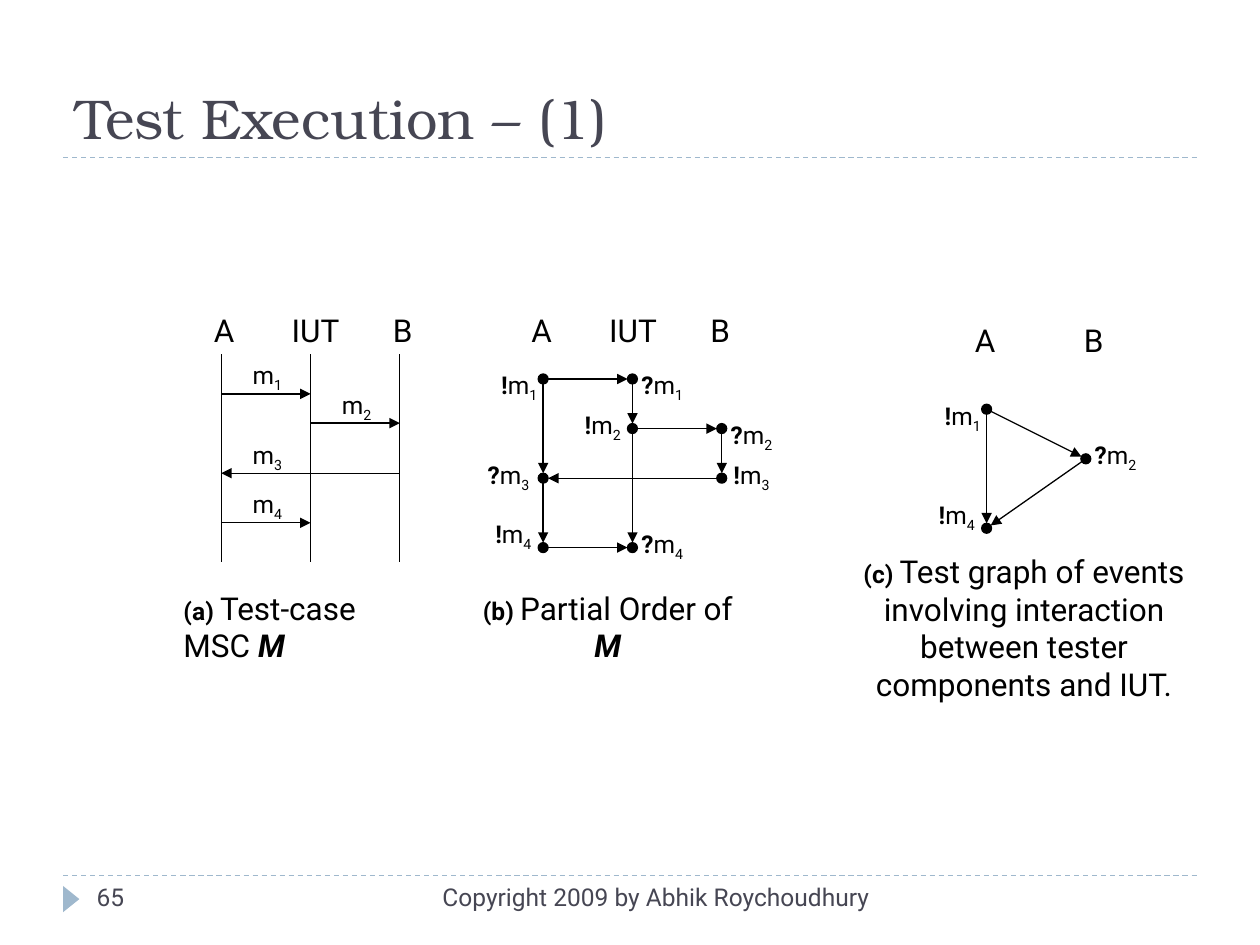
from math import hypot

from pptx import Presentation
from pptx.dml.color import RGBColor
from pptx.enum.dml import MSO_LINE_DASH_STYLE as Dash
from pptx.enum.shapes import MSO_CONNECTOR as Conn, MSO_SHAPE as Shape
from pptx.enum.text import MSO_ANCHOR as Anchor, PP_ALIGN as Align
from pptx.oxml.ns import qn
from pptx.util import Cm, Pt
from lxml import etree

BLACK = RGBColor(0x00, 0x00, 0x00)
SLATE = RGBColor(0x46, 0x46, 0x53)
BLUE = RGBColor(0x9F, 0xB8, 0xCD)

BODY = {"name": "Roboto", "size": Pt(18)}
SMALL = {"size": Pt(14)}
MARK = {"size": Pt(14), "bold": True}
FOOTER = {"size": Pt(14), "color": SLATE}
TITLE = {"name": "TeX Gyre Bonum", "size": Pt(32), "color": SLATE}
EMPHASIS = {"bold": True, "italic": True}
SUBSCRIPT = {"size": Pt(14), "baseline": "-25000"}


class Deck:
    """Style and current slide; all lengths are in centimetres."""

    radius = 0.1
    line_width = Pt(0.75)
    label_width = 1.8

    def __init__(self, width, height):
        self.prs = Presentation()
        self.prs.slide_width, self.prs.slide_height = Cm(width), Cm(height)
        self.s = self.prs.slides.add_slide(self.prs.slide_layouts[6])

    def text(self, x, y, w, h, runs, align=Align.LEFT, anchor=Anchor.TOP, wrap=True):
        tf = self.s.shapes.add_textbox(Cm(x), Cm(y), Cm(w), Cm(h)).text_frame
        tf.word_wrap, tf.vertical_anchor = wrap, anchor
        p = tf.paragraphs[0]
        p.alignment = align
        for content, extra in runs:
            r = p.add_run()
            r.text = content
            for key, value in {**BODY, "color": BLACK, **extra}.items():
                if key == "color":
                    r.font.color.rgb = value
                elif key == "baseline":
                    r._r.get_or_add_rPr().set(key, value)
                else:
                    setattr(r.font, key, value)

    def label(self, cx, y, runs):
        """Short unwrapped text centred on cx."""
        w = self.label_width
        self.text(cx - w / 2, y, w, 0.94, runs, Align.CENTER, wrap=False)

    def message(self, cx, y, number, mark=""):
        runs = [(mark, MARK)] if mark else []
        self.label(cx, y, runs + [("m", SMALL), (number, SUBSCRIPT)])

    def line(self, x1, y1, x2, y2, color=BLACK, dash=None, arrow=False):
        c = self.s.shapes.add_connector(Conn.STRAIGHT, Cm(x1), Cm(y1), Cm(x2), Cm(y2))
        c.line.color.rgb, c.line.width = color, self.line_width
        if dash:
            c.line.dash_style = dash
        if arrow:
            etree.SubElement(c.line._get_or_add_ln(), qn("a:tailEnd"), type="triangle")
        etree.SubElement(c._element.spPr, qn("a:effectLst"))

    def shape(self, kind, x, y, w, h, color, outline=True):
        sp = self.s.shapes.add_shape(kind, Cm(x), Cm(y), Cm(w), Cm(h))
        sp.shadow.inherit = False
        sp.fill.solid()
        sp.fill.fore_color.rgb = color
        if outline:
            sp.line.color.rgb, sp.line.width = color, self.line_width
        else:
            sp.line.fill.background()
        return sp

    def graph(self, events, edges):
        """Dots with event labels, joined by arrows from rim to rim."""
        r = self.radius
        for name, (x, y, dx, dy) in events.items():
            self.shape(Shape.OVAL, x - r, y - r, 2 * r, 2 * r, BLACK)
            self.message(x + dx, y + dy, name[1], name[0])
        for start, end in edges:
            (x1, y1), (x2, y2) = events[start][:2], events[end][:2]
            length = hypot(x2 - x1, y2 - y1)
            ux, uy = r * (x2 - x1) / length, r * (y2 - y1) / length
            self.line(x1 + ux, y1 + uy, x2 - ux, y2 - uy, arrow=True)

    def headers(self, y, names):
        for name, cx in names.items():
            self.label(cx, y, [(name, {})])


def main():
    d = Deck(25.4, 19.05)

    # Title, rules and footer
    for y in (3.18, 17.65):
        d.line(1.27, y, 24.13, y, BLUE, Dash.DASH)
    d.shape(Shape.ISOSCELES_TRIANGLE, 1.17, 17.96, 0.53, 0.33, BLUE, False).rotation = 90
    d.text(1.27, 0.43, 22.86, 2.74, [("Test Execution – (1)", TITLE)], anchor=Anchor.BOTTOM)
    d.text(8.05, 17.65, 9.73, 1.02,
           [("Copyright 2009 by Abhik Roychoudhury", FOOTER)], Align.RIGHT)
    d.text(1.7, 17.65, 5.51, 1.02, [("65", FOOTER)])

    # (a) Message sequence chart
    pitch = 1.8
    lifelines = [4.46 + pitch * i for i in range(3)]
    d.headers(6.15, {"A": 4.52, "IUT": 6.36, "B": 8.12})
    for x in lifelines:
        d.line(x, 7.14, x, 11.33)
    messages = [(0, 1, 7.94), (1, 2, 8.53), (2, 0, 9.54), (0, 1, 10.54)]
    for number, (start, end, y) in enumerate(messages, 1):
        d.line(lifelines[start], y, lifelines[end], y, arrow=True)
        d.message(lifelines[min(start, end)] + 0.93, y - 0.8, str(number))
    d.text(3.45, 11.74, 5.21, 1.78,
           [("(a) ", MARK), ("Test-case MSC ", {}), ("M", EMPHASIS)])

    # (b) Partial order
    a, iut, b = (10.95 + pitch * i for i in range(3))
    d.headers(6.15, {"A": 10.92, "IUT": 12.76, "B": 14.52})
    d.graph(
        {"!1": (a, 7.64, -0.48, -0.3), "?3": (a, 9.64, -0.7, -0.5),
         "!4": (a, 11.04, -0.6, -0.7), "?1": (iut, 7.64, 0.6, -0.3),
         "!2": (iut, 8.64, -0.6, -0.5), "?4": (iut, 11.04, 0.6, -0.5),
         "?2": (b, 8.64, 0.6, -0.3), "!3": (b, 9.64, 0.6, -0.5)},
        [("!1", "?1"), ("!1", "?3"), ("?3", "!4"), ("?1", "!2"), ("!2", "?4"),
         ("!2", "?2"), ("?2", "!3"), ("!3", "?3"), ("!4", "?4")])
    d.text(9.45, 11.74, 5.61, 1.78,
           [("(b) ", MARK), ("Partial Order of ", {}), ("M", EMPHASIS)], Align.CENTER)

    # (c) Test graph
    d.headers(6.35, {"A": 19.86, "B": 22.05})
    d.graph(
        {"!1": (19.89, 8.25, -0.48, -0.3), "?2": (21.89, 9.25, 0.6, -0.5),
         "!4": (19.89, 10.65, -0.6, -0.7)},
        [("!1", "!4"), ("!1", "?2"), ("?2", "!4")])
    d.text(17.15, 11, 6.99, 4.06,
           [("(c) ", MARK),
            ("Test graph of events involving interaction between tester "
             "components and IUT.", {})], Align.CENTER)

    d.prs.save("out.pptx")


if __name__ == "__main__":
    main()
